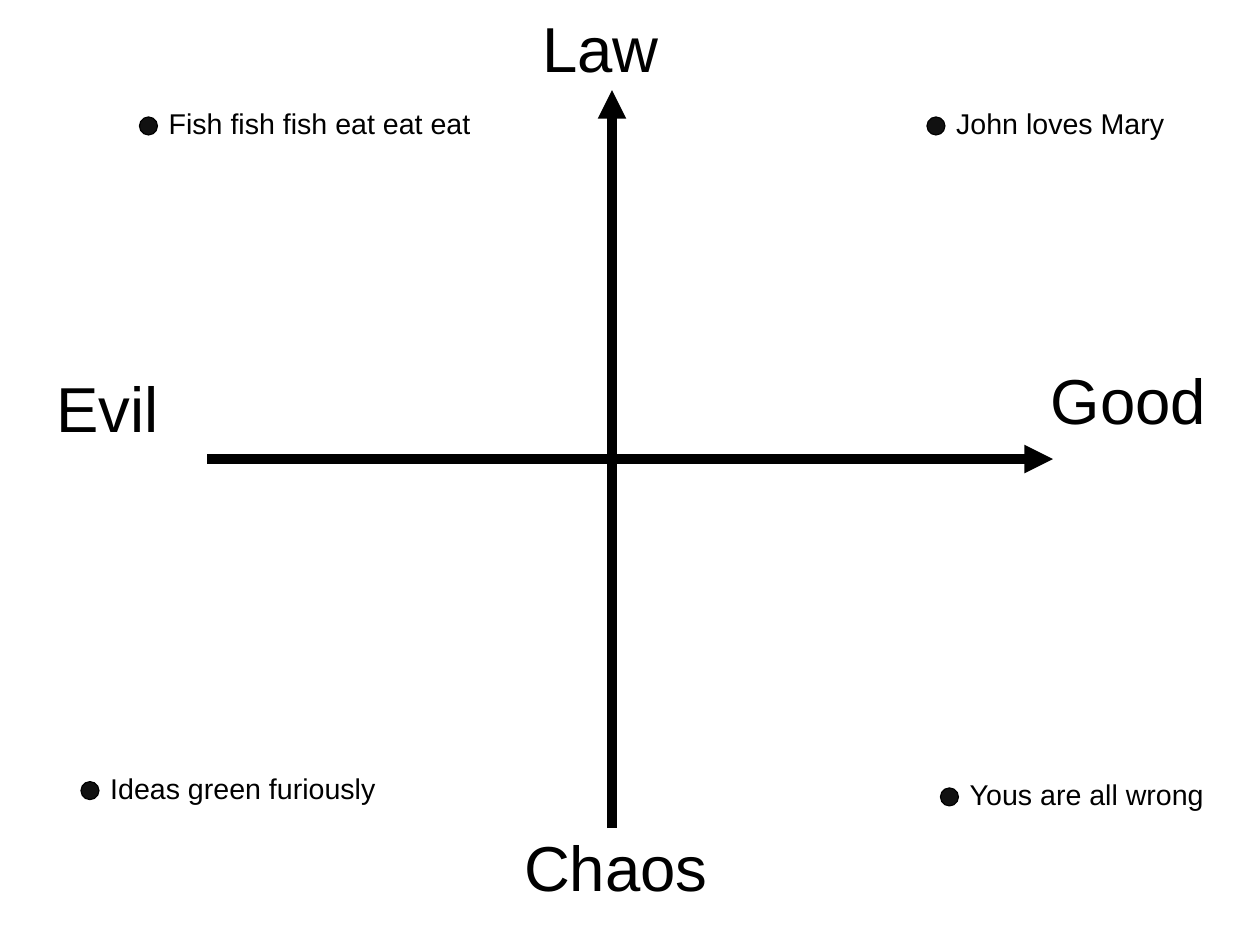
from lxml.etree import SubElement
from pptx import Presentation
from pptx.dml.color import RGBColor
from pptx.enum.shapes import MSO_CONNECTOR, MSO_SHAPE
from pptx.enum.text import MSO_AUTO_SIZE
from pptx.oxml.ns import qn
from pptx.util import Cm, Pt

COLORS = {"ink": "000000", "dot": "111111"}

presentation = Presentation()
presentation.slide_width = Cm(28)
presentation.slide_height = Cm(21)
slide = presentation.slides.add_slide(presentation.slide_layouts[6])

# Grid of 28 columns and 21 rows
COLUMN = presentation.slide_width / 28
ROW = presentation.slide_height / 21


def grid(left, top, width, height):
    return [round(n * unit) for n, unit in
            zip((left, top, width, height), (COLUMN, ROW, COLUMN, ROW))]


def add_text(text, size, left, top, width, height):
    box = slide.shapes.add_textbox(*grid(left, top, width, height))
    frame = box.text_frame
    frame.word_wrap = True
    frame.auto_size = MSO_AUTO_SIZE.SHAPE_TO_FIT_TEXT
    frame.text = text
    font = frame.paragraphs[0].font
    font.name = "Arial"
    font.size = Pt(size)
    font.color.rgb = RGBColor.from_string(COLORS["ink"])


# Axes: start and end points
CENTER_X, CENTER_Y = 13.6, 10.2
axes = [
    (4.6, CENTER_Y, 23.4, CENTER_Y),
    (CENTER_X, 18.4, CENTER_X, 2),
]
for axis in axes:
    arrow = slide.shapes.add_connector(MSO_CONNECTOR.STRAIGHT, *grid(*axis))
    arrow.line.width = Pt(6)
    arrow.line.color.rgb = RGBColor.from_string(COLORS["ink"])
    SubElement(arrow.line._get_or_add_ln(), qn("a:tailEnd"), type="triangle")
    SubElement(arrow._element.spPr, qn("a:effectLst"))

# Axis labels: left, top, width
labels = [
    ("Law", 11.8, 0.08, 3.4),
    ("Chaos", 11.4, 18.28, 4.8),
    ("Good", 23.1, 7.9, 4.5),
    ("Evil", 1, 8.08, 3.2),
]
for label, left, top, width in labels:
    add_text(label, 40, left, top, width, 2.51)

# Sentences, each with a dot at its left: left, top, width, height
DOT_SIZE, DOT_DROP = 0.4, 0.37
sentences = [
    ("John loves Mary", 21, 2.23, 5.4, 0.97),
    ("Ideas green furiously", 2.2, 17, 7.4, 1.68),
    ("Fish fish fish eat eat eat", 3.5, 2.23, 7.3, 1.68),
    ("Yous are all wrong", 21.3, 17.14, 5.9, 1.68),
]
for sentence, left, top, width, height in sentences:
    dot = slide.shapes.add_shape(
        MSO_SHAPE.OVAL,
        *grid(left - DOT_SIZE, top + DOT_DROP, DOT_SIZE, DOT_SIZE))
    dot.shadow.inherit = False
    dot.fill.solid()
    dot.fill.fore_color.rgb = RGBColor.from_string(COLORS["dot"])
    dot.line.color.rgb = RGBColor.from_string(COLORS["ink"])
    dot.line.width = Pt(0)
    add_text(sentence, 18, left, top, width, height)

presentation.save("out.pptx")
